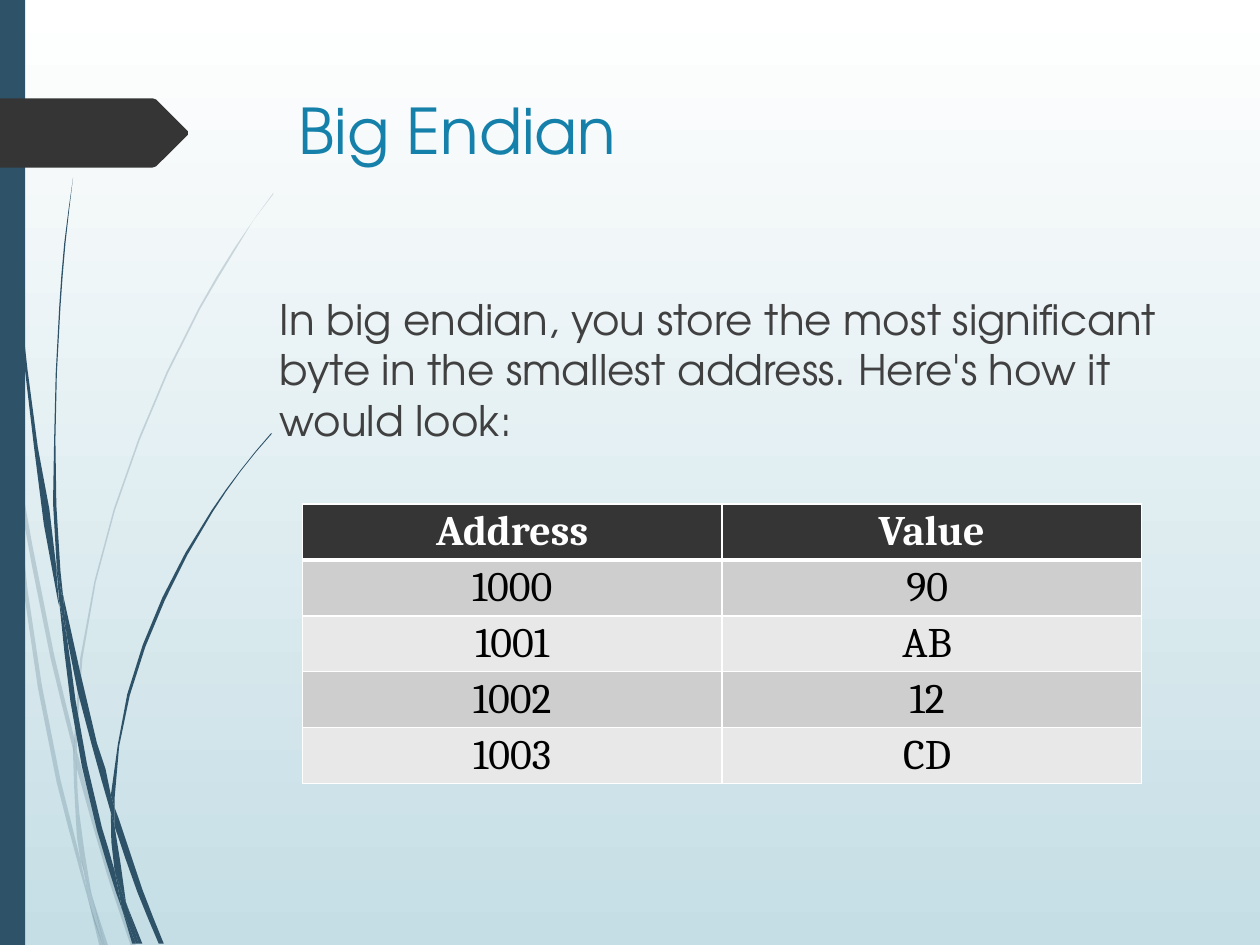
from dataclasses import dataclass
from math import dist

from lxml.etree import SubElement
from pptx import Presentation
from pptx.dml.color import RGBColor
from pptx.enum.shapes import MSO_SHAPE as Preset
from pptx.enum.text import MSO_ANCHOR as Anchor, MSO_AUTO_SIZE as AutoSize, PP_ALIGN as Align
from pptx.oxml.ns import qn
from pptx.util import Inches, Pt

BLUE, DARK, WHITE = "2E5369", "353535", "FFFFFF"
HEADING_FONT, TABLE_FONT = "TeX Gyre Adventor", "Cambria"

Point = tuple[float, float]


@dataclass
class Grass:
    blades: list[str]
    opacity: int


PALE_GRASS = Grass([
    "0,2.82 0.06,3.22 0.08,3.5 | 0.07,3.44 0,2.99",
    "0.1,3.45 0.43,5.2 0.59,5.86 | 0.59,5.99 0.4,5.22 0.12,3.76",
    "0.61,5.96 0.64,6.07 0.88,6.92 1.08,7.51 | 1.04,7.51 0.85,6.94 0.61,6.1",
    "0.73,7.11 0.86,7.51 | 0.83,7.51 0.73,7.11",
    "0.08,3.5 0.12,3.76 0.22,4.69 0.48,6.19 0.64,6.83 0.69,7.07 0.7,7.14"
    " | 0.64,6.93 0.45,6.21 0.19,4.7 0.08,3.5",
    "0.58,5.99 0.6,6.46 0.64,6.83 0.67,6.92 0.73,7.11"
    " | 0.72,7.06 0.63,6.46 0.61,6.1 0.61,6.08",
    "0.61,5.96 0.61,5.84 0.76,4.62 1.11,3.49 1.59,2.45 1.87,1.98 2.01,1.75 2.17,1.54"
    " | 2.17,1.53 2.01,1.75 1.86,1.97 1.58,2.44 1.1,3.48 0.75,4.61 0.59,5.84 0.59,5.86",
    "0.7,7.14 0.79,7.51 | 0.82,7.51 0.7,7.14",
    "0.61,6.08 0.61,6.1 | 0.61,5.96 0.59,5.86 | 0.58,5.99 0.61,6.08",
    "0.65,6.83 0.69,7.07 0.7,7.14 0.82,7.51 | 0.83,7.51 0.73,7.11 0.67,6.92",
], 20)

DARK_GRASS = Grass([
    "0.02,0 0.03,0.48 0.05,1.1 0.14,2.33 0.27,3.55 0.46,4.77 0.47,4.81"
    " | 0.45,4.57 0.45,4.53 0.3,3.55 0.15,2.32 0.06,1.09 0.04,0.48 0.03,0",
    "0.5,4.72 0.53,5.05 0.73,5.92 0.88,6.45 | 0.88,6.33 0.88,6.31 0.77,5.9 0.5,4.72",
    "0.91,6.41 0.94,6.49 1.13,7.06 1.3,7.49 | 1.26,7.49 1.09,7.08 0.91,6.56",
    "0.47,4.77 0.53,5.05 0.6,5.56 0.81,6.57 0.91,6.91 0.96,7.17 0.97,7.22"
    " | 0.92,7.08 0.77,6.59 0.56,5.57 0.47,4.77",
    "0.5,4.72 0.48,4.53 0.44,3.49 0.48,2.44 0.52,1.93 0.58,1.41"
    " | 0.58,1.41 0.51,1.93 0.47,2.44 0.43,3.49 0.45,4.49 0.49,4.72",
    "1.01,7.19 1.13,7.49 | 1.1,7.49 1.01,7.19",
    "0.47,4.77 0.53,5.05 | 0.5,4.72 0.49,4.72 | 0.45,4.49 0.45,4.53 0.47,4.77",
    "0.91,6.41 0.91,6.33 1.03,5.52 1.31,4.76 1.69,4.06 1.91,3.74 2.03,3.59 2.16,3.44"
    " | 2.15,3.44 2.03,3.58 1.91,3.73 1.68,4.05 1.29,4.74 1.01,5.51 0.88,6.31",
    "0.97,7.22 1.05,7.49 | 1.08,7.49 0.97,7.22",
    "0.88,6.45 0.91,6.91 0.96,7.06 1.01,7.19 | 1,7.16 0.91,6.56 0.9,6.51",
    "0.88,6.45 0.9,6.51 0.91,6.56 | 0.91,6.41 0.88,6.31 | 0.88,6.33 0.88,6.45",
    "0.91,6.91 0.96,7.17 0.97,7.22 1.08,7.49 | 1.1,7.49 1.01,7.19 0.96,7.06",
], 100)

ARROW_OUTLINE = [
    (0, 0.78), (1.21, 0.78), (1.24, 0.79), (1.49, 1.04), (1.49, 1.07),
    (1.24, 1.32), (1.21, 1.33), (0, 1.33),
]
MEMORY = [("Address", "Value"), ("1000", "90 "), ("1001", "AB "), ("1002", "12 "), ("1003", "CD ")]


def rgb(color: str) -> RGBColor:
    return RGBColor.from_string(color)


def paint(shape, color: str, opacity: int = 100) -> None:
    shape.shadow.inherit = False
    shape.fill.solid()
    shape.fill.fore_color.rgb = rgb(color)
    shape.line.fill.background()
    if opacity < 100:
        tint = shape.fill._xPr.find(f"{qn('a:solidFill')}/{qn('a:srgbClr')}")
        SubElement(tint, qn("a:alpha"), val=str(opacity * 1000))


def write(frame, text: str, *, size: float, font: str, color: str, bold: bool = False,
          align=Align.LEFT, before: float = 0):
    paragraph = frame.paragraphs[0]
    paragraph.alignment = align
    paragraph.space_before = Pt(before)
    run = paragraph.add_run()
    run.text = text
    run.font.size, run.font.name, run.font.bold = Pt(size), font, bold
    run.font.color.rgb = rgb(color)
    return paragraph


def smooth(anchors: list[Point]) -> list[Point]:
    gaps = [dist(a, b) or 1 for a, b in zip(anchors, anchors[1:])]
    slopes = [tuple((q - p) / gap for p, q in zip(a, b))
              for a, b, gap in zip(anchors, anchors[1:], gaps)]
    tangents = [slopes[0], *(
        tuple((after * p + before * q) / (before + after) for p, q in zip(s, t))
        for s, t, before, after in zip(slopes, slopes[1:], gaps, gaps[1:])), slopes[-1]]
    curve = [anchors[0]]
    for a, b, s, t, gap in zip(anchors, anchors[1:], tangents, tangents[1:], gaps):
        if gap > 0.3:
            curve.append(tuple((p + q) / 2 + gap * (u - v) / 8 for p, q, u, v in zip(a, b, s, t)))
        curve.append(b)
    return curve


def draw_outline(shapes, points: list[Point], color: str, opacity: int = 100) -> None:
    start, *rest = [(Inches(x), Inches(y)) for x, y in points]
    builder = shapes.build_freeform(*start)
    builder.add_line_segments(rest, close=True)
    paint(builder.convert_to_shape(), color, opacity)


def draw_grass(slide, grass: Grass) -> None:
    group = slide.shapes.add_group_shape()
    for blade in grass.blades:
        outline = []
        for side in blade.split("|"):
            outline += smooth([tuple(map(float, pair.split(","))) for pair in side.split()])
        draw_outline(group.shapes, outline, BLUE, grass.opacity)


def place(placeholder, left: float, top: float, width: float, height: float):
    placeholder.left, placeholder.top = Inches(left), Inches(top)
    placeholder.width, placeholder.height = Inches(width), Inches(height)
    frame = placeholder.text_frame
    frame.word_wrap, frame.auto_size = True, AutoSize.NONE
    frame.vertical_anchor = Anchor.TOP
    return frame


def add_borders(cell, bottom: float) -> None:
    properties = cell._tc.get_or_add_tcPr()
    for edge, width in (("lnL", 1), ("lnR", 1), ("lnT", 1), ("lnB", bottom)):
        border = SubElement(properties, qn(f"a:{edge}"), w=str(Pt(width)))
        SubElement(SubElement(border, qn("a:solidFill")), qn("a:srgbClr"), val=WHITE)


def draw_memory(slide) -> None:
    table = slide.shapes.add_table(len(MEMORY), 2, Inches(2.4), Inches(4),
                                   Inches(6.66), Inches(2.03)).table
    for row, values in enumerate(MEMORY):
        header = row == 0
        band = DARK if header else ("E8E8E8", "CECECE")[row % 2]
        for column, value in enumerate(values):
            cell = table.cell(row, column)
            cell.margin_left = cell.margin_right = Inches(0.03)
            cell.margin_top = cell.margin_bottom = Inches(0.03)
            cell.vertical_anchor = Anchor.MIDDLE
            add_borders(cell, bottom=3 if header else 1)
            cell.fill.solid()
            cell.fill.fore_color.rgb = rgb(band)
            write(cell.text_frame, value, size=24, font=TABLE_FONT, bold=header,
                  color=WHITE if header else "000000", align=Align.CENTER)


def main() -> None:
    deck = Presentation()
    deck.slide_width, deck.slide_height = Inches(10), Inches(7.5)
    slide = deck.slides.add_slide(deck.slide_layouts[1])

    sky = slide.background.fill
    sky.gradient()
    sky.gradient_angle = 270
    for stop, color in zip(sky.gradient_stops, (WHITE, "C5DEE5")):
        stop.color.rgb = rgb(color)

    for grass in (PALE_GRASS, DARK_GRASS):
        draw_grass(slide, grass)
    side_bar = slide.shapes.add_shape(Preset.RECTANGLE, 0, 0, Inches(0.2), deck.slide_height)
    paint(side_bar, BLUE)
    draw_outline(slide.shapes, ARROW_OUTLINE, DARK)

    heading = place(slide.shapes.title, 2.13, 0.68, 7.21, 1.4)
    write(heading, " Big Endian", size=36, font=HEADING_FONT, color="1581AA")

    explanation = place(slide.placeholders[1], 2.12, 2.28, 7.21, 4.18)
    paragraph = write(
        explanation,
        "In big endian, you store the most significant byte in the smallest address. "
        "Here's how it would look:",
        size=24, font=HEADING_FONT, color="404040", before=10)
    layout = paragraph._p.get_or_add_pPr()
    layout.set("marL", "0")
    layout.set("indent", "0")
    SubElement(layout, qn("a:buNone"))

    draw_memory(slide)
    deck.save("out.pptx")


if __name__ == "__main__":
    main()
